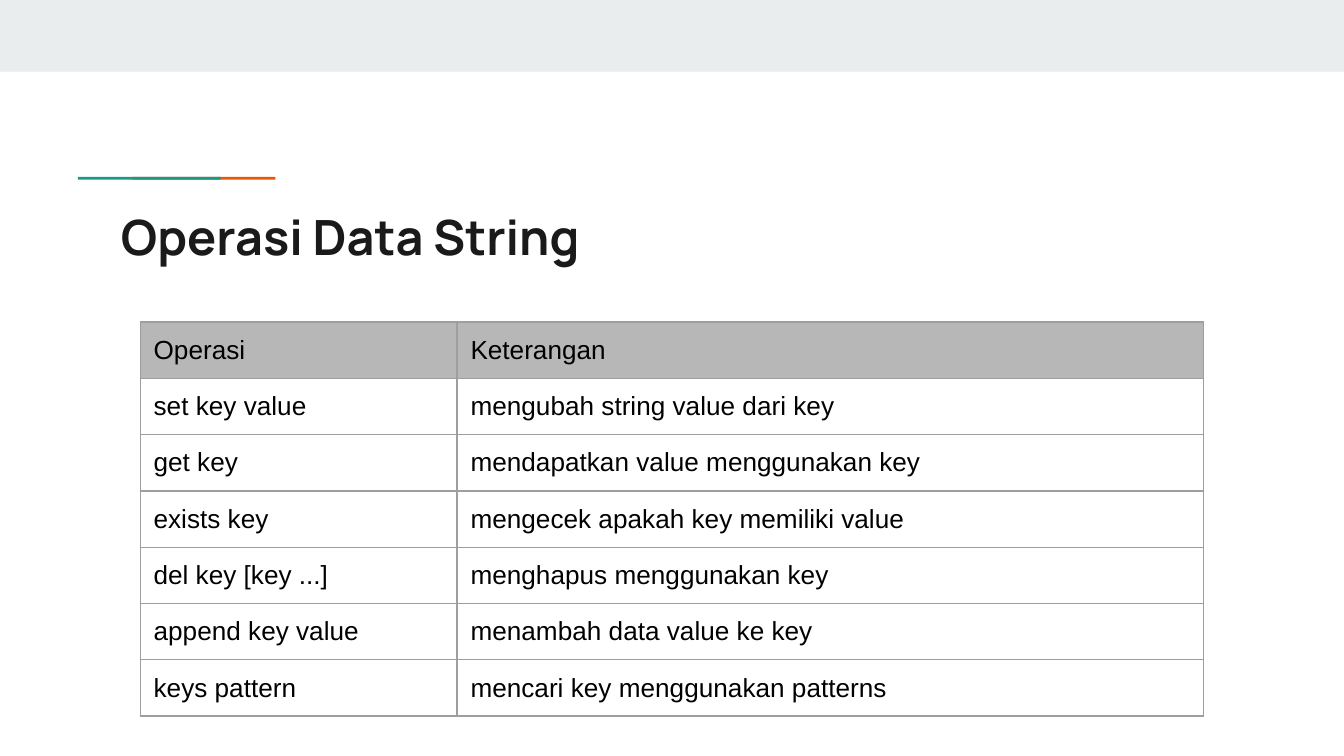
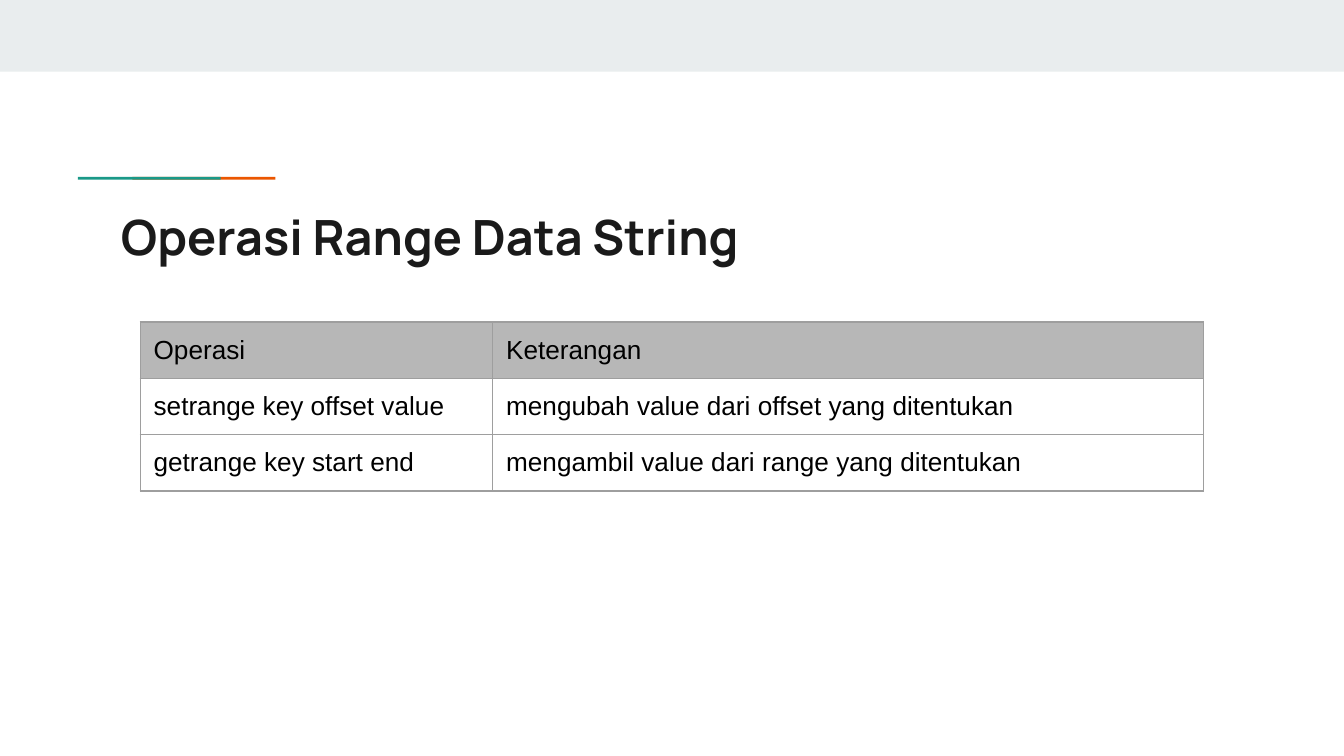
import pptx
import pptx.dml.color
import pptx.enum.shapes
import pptx.enum.text
import pptx.oxml
import pptx.oxml.ns
import pptx.util


def colour(hex_string):
    return pptx.dml.color.RGBColor.from_string(hex_string)


class Deck:
    COLUMNS, ROWS = 100, 56.25
    BAND, TEAL, ORANGE = "E9EDEE", "1A9988", "EB5600"
    HEADING, BODY = "1A1A1A", "000000"
    HEADER_FILL, GRID_LINE = "B7B7B7", "9E9E9E"
    HEADING_FONT, BODY_FONT = "Manrope", "Arial"
    ROW_HEIGHT = 4.17
    TABLE_WIDTH = 79.15

    def __init__(self):
        self.presentation = pptx.Presentation()
        self.presentation.slide_width = pptx.util.Inches(10)
        self.presentation.slide_height = pptx.util.Inches(5.625)
        self.slide = None

    def x(self, columns):
        return round(self.presentation.slide_width * columns / self.COLUMNS)

    def y(self, rows):
        return round(self.presentation.slide_height * rows / self.ROWS)

    def box(self, left, top, width, height):
        return self.x(left), self.y(top), self.x(width), self.y(height)

    def start(self, heading):
        self.slide = self.presentation.slides.add_slide(
            self.presentation.slide_layouts[5])
        self.bar(0, 0, self.COLUMNS, 5.33, self.BAND)
        for left, fill in ((9.86, self.ORANGE), (5.8, self.TEAL)):
            self.bar(left, 13.17, 10.63, 0.2, fill)
        self.title(heading)

    def bar(self, left, top, width, height, fill):
        bar = self.slide.shapes.add_shape(
            pptx.enum.shapes.MSO_SHAPE.RECTANGLE,
            *self.box(left, top, width, height))
        bar.shadow.inherit = False
        bar.fill.solid()
        bar.fill.fore_color.rgb = colour(fill)
        bar.line.fill.background()

    def title(self, heading):
        title = self.slide.shapes.title
        title.left, title.top, title.width, title.height = self.box(
            8, 14.4, 84.1, 5.9)
        frame = title.text_frame
        frame.text = heading
        frame.word_wrap = True
        frame.auto_size = pptx.enum.text.MSO_AUTO_SIZE.NONE
        frame.vertical_anchor = pptx.enum.text.MSO_ANCHOR.TOP
        frame.margin_left = frame.margin_right = self.x(1)
        frame.margin_top = frame.margin_bottom = self.y(1)
        frame.paragraphs[0].alignment = pptx.enum.text.PP_ALIGN.LEFT
        self.format(frame, self.HEADING_FONT, 26, self.HEADING, True)

    def format(self, frame, font_name, size, text_colour, bold=False):
        for paragraph in frame.paragraphs:
            for run in paragraph.runs:
                run.font.name = font_name
                run.font.size = pptx.util.Pt(size)
                run.font.bold = bold
                run.font.color.rgb = colour(text_colour)

    def table(self, operation_width, operations):
        entries = [("Operasi", "Keterangan"), *operations]
        table = self.slide.shapes.add_table(
            len(entries), 2,
            *self.box(10.43, 23.96, self.TABLE_WIDTH,
                      self.ROW_HEIGHT * len(entries))).table
        table.first_row = table.horz_banding = False
        table.columns[0].width = self.x(operation_width)
        table.columns[1].width = self.x(self.TABLE_WIDTH - operation_width)
        for row, entry in enumerate(entries):
            table.rows[row].height = self.y(self.ROW_HEIGHT)
            for column, wording in enumerate(entry):
                self.cell(table.cell(row, column), wording, row == 0)

    def cell(self, cell, wording, is_header):
        cell.margin_left = cell.margin_right = self.x(1)
        cell.margin_top = cell.margin_bottom = self.y(1)
        cell.text_frame.text = wording
        self.format(cell.text_frame, self.BODY_FONT, 14, self.BODY)
        self.border(cell)
        if is_header:
            cell.fill.solid()
            cell.fill.fore_color.rgb = colour(self.HEADER_FILL)
        else:
            cell.fill.background()

    def border(self, cell):
        properties = cell._tc.get_or_add_tcPr()
        for side in "LRTB":
            properties.append(pptx.oxml.parse_xml(
                f'<a:ln{side} {pptx.oxml.ns.nsdecls("a")} '
                f'w="{pptx.util.Pt(0.75)}"><a:solidFill>'
                f'<a:srgbClr val="{self.GRID_LINE}"/>'
                f'</a:solidFill></a:ln{side}>'))


def main():
    deck = Deck()

    deck.start("Operasi Data String")
    deck.table(23.58, [
        ("set key value", "mengubah string value dari key"),
        ("get key", "mendapatkan value menggunakan key"),
        ("exists key", "mengecek apakah key memiliki value"),
        ("del key [key ...]", "menghapus menggunakan key"),
        ("append key value", "menambah data value ke key"),
        ("keys pattern", "mencari key menggunakan patterns"),
    ])

    deck.start("Operasi Range Data String")
    deck.table(26.23, [
        ("setrange key offset value",
         "mengubah value dari offset yang ditentukan"),
        ("getrange key start end",
         "mengambil value dari range yang ditentukan"),
    ])

    deck.presentation.save("out.pptx")


if __name__ == "__main__":
    main()
